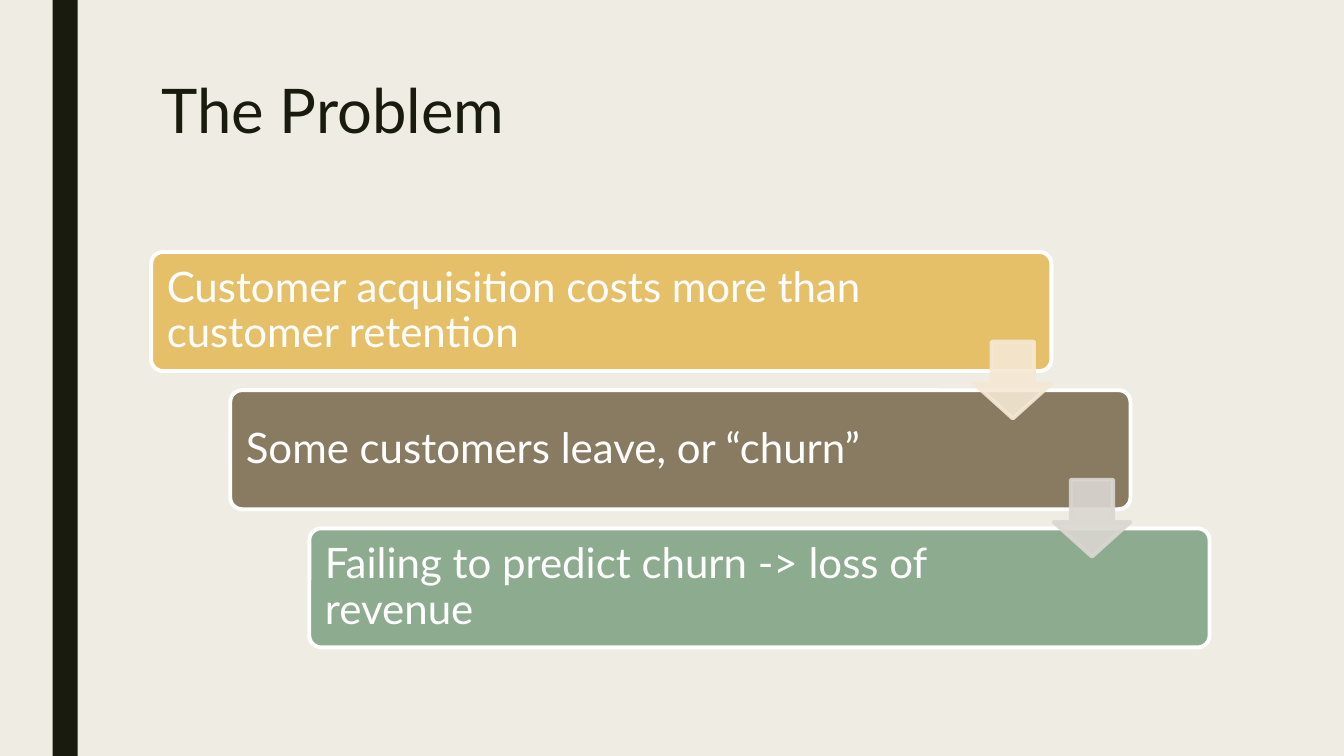
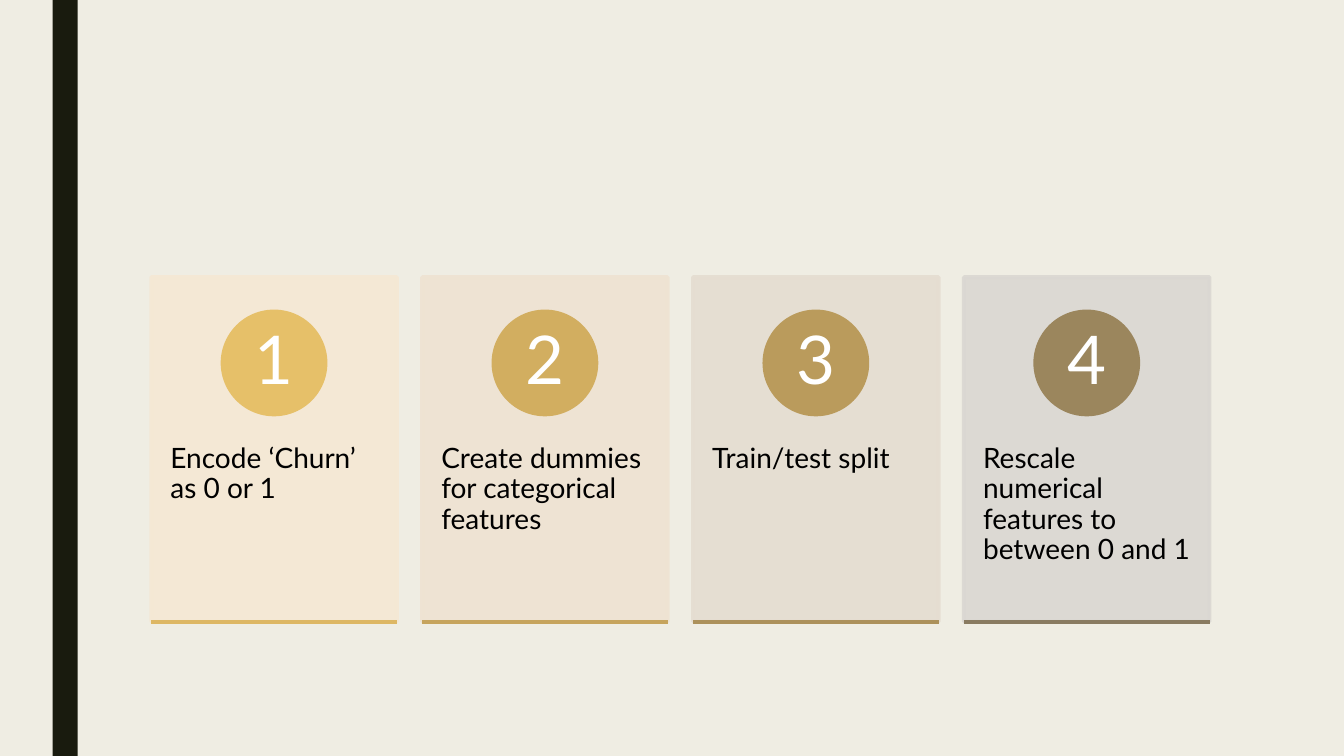
"""Build two slides on customer churn: the problem and the data preparation steps."""
import pptx
import pptx.util
import pptx.dml.color
import pptx.enum.shapes
import pptx.enum.text
import pptx.oxml.ns
import lxml.etree

Pt = pptx.util.Pt
Shape = pptx.enum.shapes.MSO_SHAPE
Anchor = pptx.enum.text.MSO_ANCHOR
Align = pptx.enum.text.PP_ALIGN
qn = pptx.oxml.ns.qn

FONT = "Lato"
PAPER, INK, WHITE, BLACK = "EFEDE3", "191B0E", "FFFFFF", "000000"
LEFT, CONTENT_WIDTH = 108, 756
LINE_WIDTH = 2.75

TITLE = "The Problem"
PROBLEMS = [
    ("Customer acquisition costs more than customer retention", "E6C069", 551.5),
    ("Some customers leave, or “churn”", "897B61", 525.5),
    ("Failing to predict churn -> loss of revenue", "8DAB8E", 525.5),
]
ARROW_COLORS = ["F5E8D4", "DAD7D2"]
STEPS = [
    ("Encode ‘Churn’ as 0 or 1", "F5E8D4", "E6C069", "DDB764"),
    ("Create dummies for categorical features", "EEE3D2", "D2AE60", "C6A45D"),
    ("Train/test split", "E5DDD1", "BA9B5C", "AC915B"),
    ("Rescale numerical features to between 0 and 1", "DAD7D2", "9B865D", "897B61"),
]

TITLE_FORMAT = {"size": 44, "color": INK, "anchor": Anchor.TOP, "align": Align.LEFT,
                "margins": (7.2, 3.6)}
PROBLEM_FORMAT = {"size": 30, "color": WHITE, "anchor": Anchor.MIDDLE, "align": Align.LEFT,
                  "margins": (8.64, 8.64)}
STEP_FORMAT = {"size": 20, "color": BLACK, "anchor": Anchor.TOP, "align": Align.LEFT,
               "margins": (13.68, 25.92)}
NUMBER_FORMAT = {"size": 48, "color": WHITE, "anchor": Anchor.MIDDLE, "align": Align.CENTER,
                 "margins": (5.76, 0.72)}


def rgb(color):
    """Turn a hex string into a colour."""
    return pptx.dml.color.RGBColor.from_string(color)


def set_all(target, values):
    """Set every attribute named in a dict."""
    for name, value in values.items():
        setattr(target, name, value)


def write(holder, text, look):
    """Fill a text holder with one formatted paragraph."""
    frame = holder.text_frame
    side, edge = (Pt(margin) for margin in look["margins"])
    set_all(frame, {"word_wrap": True, "auto_size": pptx.enum.text.MSO_AUTO_SIZE.NONE,
                    "vertical_anchor": look["anchor"], "margin_left": side,
                    "margin_right": side, "margin_top": edge, "margin_bottom": edge})
    para = frame.paragraphs[0]
    set_all(para, {"alignment": look["align"], "line_spacing": 0.9})
    span = para.add_run()
    span.text = text
    set_all(span.font, {"name": FONT, "size": Pt(look["size"])})
    span.font.color.rgb = rgb(look["color"])


def add_text(page, place, text, look):
    """Add a text box."""
    write(page.shapes.add_textbox(*map(Pt, place)), text, look)


def add_block(page, kind, place, fill, line=None, adjustments=(), opacity=100):
    """Add a flat shape, outlined when a line colour is given."""
    block = page.shapes.add_shape(kind, *map(Pt, place))
    block.shadow.inherit = False
    for index, value in enumerate(adjustments):
        block.adjustments[index] = value
    block.fill.solid()
    block.fill.fore_color.rgb = rgb(fill)
    if line:
        block.line.color.rgb = rgb(line)
        block.line.width = Pt(LINE_WIDTH)
    else:
        block.line.fill.background()
    if opacity < 100:
        for color in block.element.spPr.iter(qn("a:srgbClr")):
            lxml.etree.SubElement(color, qn("a:alpha")).set("val", str(opacity * 1000))
    return block


def add_rule(page, left, top, width, color):
    """Add a horizontal line."""
    ends = map(Pt, (left, top, left + width, top))
    rule = page.shapes.add_connector(pptx.enum.shapes.MSO_CONNECTOR.STRAIGHT, *ends)
    rule.line.color.rgb = rgb(color)
    rule.line.width = Pt(LINE_WIDTH)
    lxml.etree.SubElement(rule.element.spPr, qn("a:effectLst"))


def style_master(deck, page):
    """Give the master its background and side band."""
    master = deck.slide_master
    master.background.fill.solid()
    master.background.fill.fore_color.rgb = rgb(PAPER)
    band = add_block(page, Shape.RECTANGLE, (37.5, 0, 18, 540), INK)
    master.shapes.element.insert(2, band.element)


def build_problem(page):
    """Draw the staircase of problems joined by arrows."""
    set_all(page.shapes.title, {"left": Pt(LEFT), "top": Pt(54),
                                "width": Pt(CONTENT_WIDTH), "height": Pt(116.6)})
    write(page.shapes.title, TITLE, TITLE_FORMAT)
    top, width, height, inset, arrow = 180, 643, 85, 2.5, 55
    shift = (CONTENT_WIDTH - width) / 2
    pitch = 98.7
    for index, (text, color, text_width) in enumerate(PROBLEMS):
        x, y = LEFT + index * shift, top + index * pitch
        add_block(page, Shape.ROUNDED_RECTANGLE, (x, y, width, height), color, WHITE, [0.1])
        add_text(page, (x + inset, y + inset, text_width, height - 2 * inset),
                 text, PROBLEM_FORMAT)
    for index, color in enumerate(ARROW_COLORS):
        x = LEFT + index * shift + width - arrow
        y = top + index * pitch + 64
        add_block(page, Shape.DOWN_ARROW, (x, y, arrow, arrow), color, color, [0.55, 0.45], 90)


def build_steps(page):
    """Draw the row of numbered cards."""
    top, width, height, circle, number = 198, 175.5, 246, 73.5, 52
    pitch = (CONTENT_WIDTH - width) / (len(STEPS) - 1)
    for index, (text, card_color, circle_color, rule_color) in enumerate(STEPS):
        x = LEFT + index * pitch
        center = x + width / 2
        add_block(page, Shape.RECTANGLE, (x, top, width, height), card_color, card_color,
                  opacity=90)
        add_text(page, (x, top + 93.5, width, 147.6), text, STEP_FORMAT)
        add_block(page, Shape.OVAL, (center - circle / 2, top + 24.5, circle, circle),
                  circle_color, circle_color)
        add_text(page, (center - number / 2, top + 35.3, number, number),
                 str(index + 1), NUMBER_FORMAT)
        add_rule(page, x, top + height, width, rule_color)


deck = pptx.Presentation()
set_all(deck, {"slide_width": Pt(960), "slide_height": Pt(540)})
problem_page = deck.slides.add_slide(deck.slide_layouts.get_by_name("Title Only"))
steps_page = deck.slides.add_slide(deck.slide_layouts.get_by_name("Blank"))
style_master(deck, problem_page)
build_problem(problem_page)
build_steps(steps_page)
deck.save("out.pptx")
